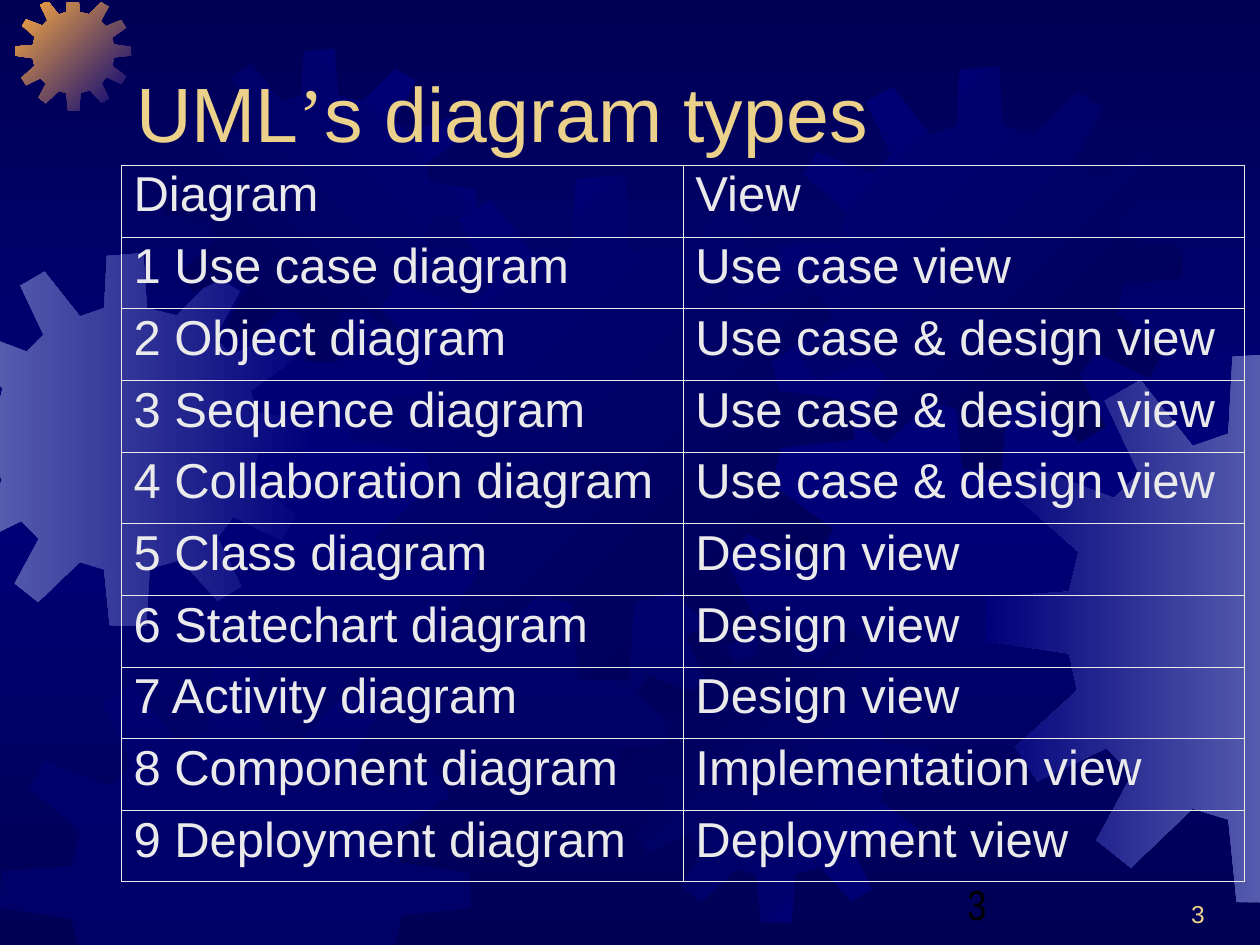
from copy import deepcopy

from lxml.etree import SubElement
from pptx import Presentation
from pptx.dml.color import RGBColor
from pptx.enum.text import MSO_ANCHOR, MSO_AUTO_SIZE, PP_ALIGN
from pptx.oxml import parse_xml
from pptx.oxml.ns import nsdecls, qn
from pptx.util import Inches, Pt

COLORS = {
    "night": "000054",
    "navy": "00007A",
    "steel": "555BAD",
    "amber": "FCAB40",
    "gold": "EBD189",
    "pale": "EAEAEA",
    "black": "000000",
}
SPAN = 4.01
TEETH = [
    (2.55, 0.67), (2.23, 0.59), (2.19, 0), (1.8, 0.03), (1.77, 0.59), (1.51, 0.68),
    (1.13, 0.2), (0.87, 0.35), (1.12, 0.88), (0.94, 1.06), (0.38, 0.85), (0.25, 1.07),
    (0.68, 1.45), (0.61, 1.74), (0.01, 1.78), (0, 2.1), (0.61, 2.19), (0.67, 2.46),
    (0.22, 2.87), (0.38, 3.12), (0.88, 2.88), (1.07, 3.07), (0.81, 3.55), (1.06, 3.75),
    (1.51, 3.32), (1.77, 3.4), (1.83, 4), (2.22, 4.01), (2.26, 3.39), (2.59, 3.3),
    (2.99, 3.74), (3.25, 3.58), (2.99, 3.06), (3.16, 2.84), (3.68, 3.09), (3.84, 2.81),
    (3.36, 2.46), (3.42, 2.16), (4.01, 2.1), (4, 1.8), (3.41, 1.71), (3.35, 1.48),
    (3.83, 1.14), (3.67, 0.87), (3.13, 1.09), (2.96, 0.91), (3.23, 0.41), (2.97, 0.25),
]
EDGES = [(0, -0.01, 1), (0, 10.01, -1), (1, 0.02, 1), (1, 7.54, -1)]
GEARS = [
    (-0.48, 2.01, 2.96, ["navy", "steel"], 180),
    (0.12, -0.04, 0.92, ["navy", "amber"], 225),
    (1.3, 0.39, 2.48, ["navy", "night"], 135),
    (2.77, 1.39, 4.01, ["night", "navy"], 225),
    (0, 5.25, 3.74, ["navy"], 0),
    (4.91, 4.84, 2.48, ["navy", "night"], 225),
    (6.18, 0.53, 3.2, ["night", "navy"], 225),
    (7.82, 2.8, 4.37, ["steel", "navy"], 180),
]
ROWS = [
    ("Diagram", "View"),
    ("1 Use case diagram", "Use case view"),
    ("2 Object diagram", "Use case & design view"),
    ("3 Sequence diagram", "Use case & design view"),
    ("4 Collaboration diagram", "Use case & design view"),
    ("5 Class diagram", "Design view"),
    ("6 Statechart diagram", "Design view"),
    ("7 Activity diagram", "Design view"),
    ("8 Component diagram", "Implementation view"),
    ("9 Deployment diagram", "Deployment view"),
]


def get_color(name):
    return RGBColor.from_string(COLORS[name])


def set_font(font, face, size, color):
    font.name = face
    font.size = Pt(size)
    font.color.rgb = get_color(color)


def set_stops(fill, names):
    for i, (stop, name) in enumerate(zip(fill.gradient_stops, names)):
        stop.color.rgb = get_color(name)
        stop.position = i / (len(names) - 1)


def paint_back(slide):
    fill = slide.background.fill
    fill.gradient()
    fill.gradient_angle = 270
    stops = slide.element.xpath(".//p:bg//a:gsLst")[0]
    stops.append(deepcopy(stops[0]))
    set_stops(fill, ["night", "navy", "night"])


def clip(points, axis, limit, sign):
    kept = []
    for a, b in zip(points[-1:] + points[:-1], points):
        from_in = (a[axis] - limit) * sign >= 0
        to_in = (b[axis] - limit) * sign >= 0
        if from_in != to_in:
            t = (limit - a[axis]) / (b[axis] - a[axis])
            kept.append(tuple(p + t * (q - p) for p, q in zip(a, b)))
        if to_in:
            kept.append(b)
    return kept


def add_gear(slide, left, top, size, names, angle):
    scale = size / SPAN
    points = [(left + x * scale, top + y * scale) for x, y in TEETH]
    for edge in EDGES:
        points = clip(points, *edge)
    spots = [(Inches(x), Inches(y)) for x, y in points]
    form = slide.shapes.build_freeform(*spots[0])
    form.add_line_segments(spots[1:], close=True)
    gear = form.convert_to_shape()
    gear.shadow.inherit = False
    gear.line.fill.background()
    if len(names) > 1:
        gear.fill.gradient()
        gear.fill.gradient_angle = 360 - angle
        set_stops(gear.fill, names)
    else:
        gear.fill.solid()
        gear.fill.fore_color.rgb = get_color(names[0])
        tint = gear.element.xpath("./p:spPr/a:solidFill/a:srgbClr")[0]
        SubElement(tint, qn("a:alpha"), val="50000")


def add_title(slide):
    title = slide.shapes.title
    title.left, title.top = Inches(0.98), Inches(0.05)
    title.width, title.height = Inches(8.5), Inches(1.25)
    frame = title.text_frame
    frame.auto_size = MSO_AUTO_SIZE.NONE
    frame.vertical_anchor = MSO_ANCHOR.BOTTOM
    line = frame.paragraphs[0]
    line.alignment = PP_ALIGN.LEFT
    for text, face in [("UML", "Arial"), ("’", "Times New Roman"), ("s diagram types", "Arial")]:
        run = line.add_run()
        run.text = text
        set_font(run.font, face, 44, "gold")
    slide.shapes._spTree.append(title.element)


def add_number(slide, face, size, color, align):
    box = slide.shapes.add_textbox(Inches(7.58), Inches(6.92), Inches(2.08), Inches(0.5))
    frame = box.text_frame
    frame.word_wrap = True
    frame.vertical_anchor = MSO_ANCHOR.BOTTOM
    frame.text = "3"
    line = frame.paragraphs[0]
    line.alignment = align
    set_font(line.runs[0].font, face, size, color)


def set_border(cell, sides):
    props = cell._tc.get_or_add_tcPr()
    for i, (side, outer) in enumerate(sides):
        width = Pt(0.5 if outer else 0.23)
        props.insert(i, parse_xml(
            f'<a:ln{side} {nsdecls("a")} w="{width}"><a:solidFill>'
            f'<a:srgbClr val="{COLORS["pale"]}"/></a:solidFill></a:ln{side}>'))


def add_grid(slide):
    last = len(ROWS) - 1
    frame = slide.shapes.add_table(
        len(ROWS), 2, Inches(0.96), Inches(1.31), Inches(8.92), Inches(5.69))
    grid = frame.table
    grid.first_row = grid.horz_banding = False
    for r, texts in enumerate(ROWS):
        for c, text in enumerate(texts):
            cell = grid.cell(r, c)
            cell.fill.background()
            set_border(cell, [("L", c == 0), ("R", c == 1), ("T", r == 0), ("B", r == last)])
            cell.text_frame.text = text
            line = cell.text_frame.paragraphs[0]
            line.line_spacing = 0.93
            set_font(line.runs[0].font, "Arial", 28, "pale")


def main():
    deck = Presentation()
    deck.slide_width, deck.slide_height = Inches(10), Inches(7.5)
    slide = deck.slides.add_slide(deck.slide_layouts[5])
    paint_back(slide)
    for gear in GEARS:
        add_gear(slide, *gear)
    add_number(slide, "Arial", 14, "gold", PP_ALIGN.RIGHT)
    add_title(slide)
    add_number(slide, "Arial Narrow", 24, "black", PP_ALIGN.LEFT)
    add_grid(slide)
    deck.save("out.pptx")


if __name__ == "__main__":
    main()
